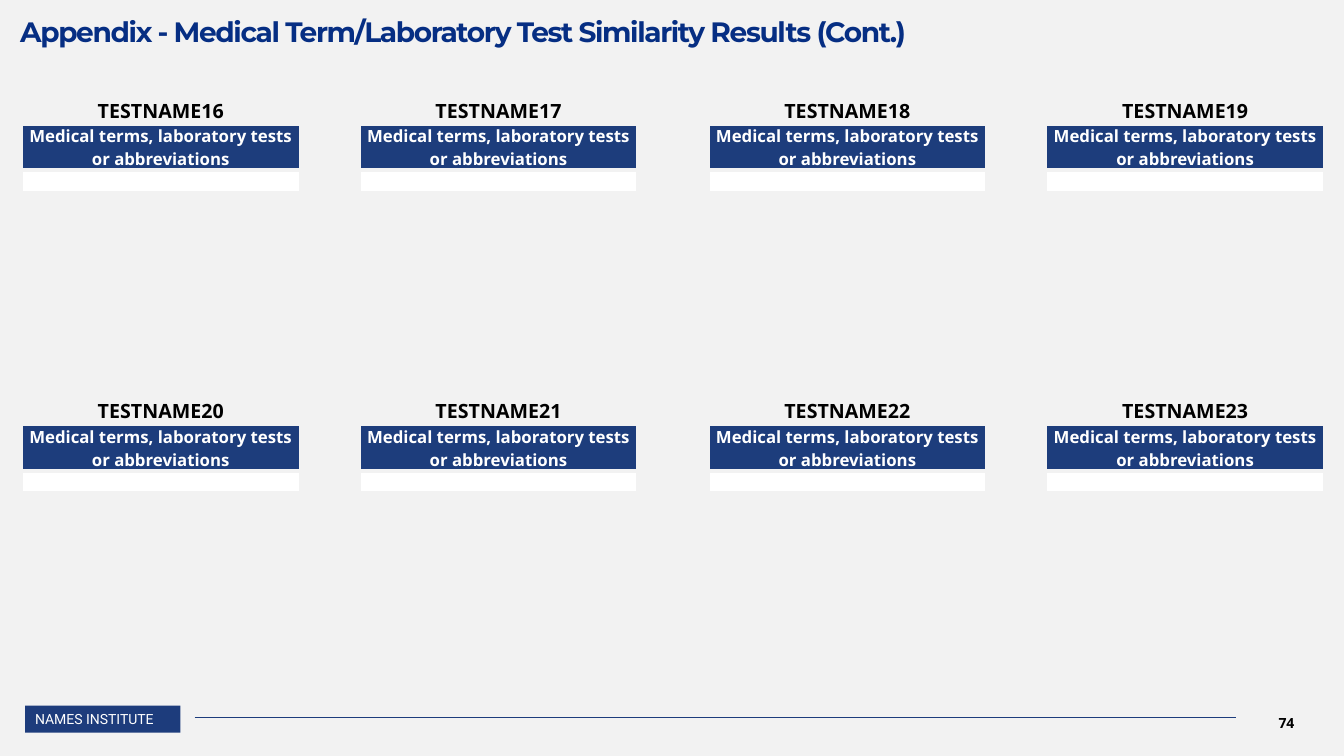
"""Build the appendix slide of similarity results: eight small tables in a grid."""
from lxml import etree
from pptx import Presentation
from pptx import util as u
from pptx.dml.color import RGBColor
from pptx.enum import shapes, text
from pptx.oxml.ns import qn

WIDTH, HEIGHT = 13.33, 7.5
BACKGROUND, NAVY, HEADER_BLUE, TITLE_BLUE = "F2F2F2", "1D3C7C", "1D3D7C", "062E83"
WHITE, BLACK = "FFFFFF", "000000"
GRID_LEFT, GRID_TOP = 0.21, 0.95
COLUMN_STEP, PAIR_STEP, ROW_STEP = 3.35, 6.81, 2.98
TABLE_WIDTH, ROW_HEIGHTS = 2.77, (0.28, 0.46, 0.22)
COLUMNS, FIRST_TEST, LAST_TEST = 4, 16, 23
CELL_MARGIN = 0.01
HEADER = "Medical terms, laboratory tests or abbreviations"


def color(value):
    """Turn a hex string into a colour."""
    return RGBColor.from_string(value)


def paint(target, value):
    """Give a shape, cell or background a solid fill."""
    target.fill.solid()
    target.fill.fore_color.rgb = color(value)


def write(frame, words, size=12, font="Open Sans", ink=BLACK, bold=False,
          align=text.PP_ALIGN.CENTER, line_spacing=None, tracking=None):
    """Write one formatted paragraph into a text frame."""
    paragraph = frame.paragraphs[0]
    paragraph.alignment = align
    paragraph.line_spacing = line_spacing
    run = paragraph.add_run()
    run.text = words
    run.font.size, run.font.name, run.font.bold = u.Pt(size), font, bold
    run.font.color.rgb = color(ink)
    if tracking is not None:
        run.font._element.set("spc", str(tracking))


def add_title(slide, words):
    """Place and format the title placeholder."""
    title = slide.shapes.title
    title.left, title.top = u.Inches(0.2), 0
    title.width, title.height = u.Inches(12.82), u.Inches(0.48)
    frame = title.text_frame
    frame.auto_size = text.MSO_AUTO_SIZE.NONE
    frame.vertical_anchor = text.MSO_ANCHOR.TOP
    frame.margin_left = frame.margin_right = frame.margin_bottom = 0
    frame.margin_top = u.Inches(0.21)
    write(frame, words, size=20, font="Montserrat", ink=TITLE_BLUE, bold=True,
          align=text.PP_ALIGN.LEFT, line_spacing=0.8, tracking=-100)


def add_borders(cell, value=BACKGROUND, points=3):
    """Draw all four borders of a table cell."""
    properties = cell._tc.get_or_add_tcPr()
    for side in ("lnL", "lnR", "lnT", "lnB"):
        line = etree.SubElement(properties, qn(f"a:{side}"), w=str(u.Pt(points)))
        fill = etree.SubElement(line, qn("a:solidFill"))
        etree.SubElement(fill, qn("a:srgbClr"), val=value)


def add_test_table(slide, name, column, row):
    """Add the table of one test name at its place in the grid."""
    pair, member = divmod(column, 2)
    left = GRID_LEFT + pair * PAIR_STEP + member * COLUMN_STEP
    top = GRID_TOP + row * ROW_STEP
    table = slide.shapes.add_table(
        len(ROW_HEIGHTS), 1, u.Inches(left), u.Inches(top),
        u.Inches(TABLE_WIDTH), u.Inches(sum(ROW_HEIGHTS))).table
    table.first_row = table.horz_banding = False
    for index, height in enumerate(ROW_HEIGHTS):
        table.rows[index].height = u.Inches(height)
        cell = table.cell(index, 0)
        cell.margin_left = cell.margin_right = cell.margin_top = u.Inches(CELL_MARGIN)
        cell.margin_bottom = 0
        cell.vertical_anchor = text.MSO_ANCHOR.MIDDLE
        add_borders(cell)
    name_cell, header_cell, result_cell = (table.cell(index, 0) for index in range(3))
    name_cell.fill.background()
    write(name_cell.text_frame, name, size=14, bold=True)
    paint(header_cell, HEADER_BLUE)
    write(header_cell.text_frame, HEADER, ink=WHITE, bold=True)
    paint(result_cell, WHITE)
    paragraph = result_cell.text_frame.paragraphs[0]
    etree.SubElement(paragraph._p, qn("a:endParaRPr"), sz="800")


def add_footer(slide, label, page):
    """Add the label, rule and page number at the foot of the slide."""
    box = slide.shapes.add_shape(shapes.MSO_SHAPE.RECTANGLE, u.Inches(0.25),
                                 u.Inches(7), u.Inches(1.54), u.Inches(0.27))
    box.shadow.inherit = False
    paint(box, NAVY)
    box.line.fill.background()
    box.text_frame.word_wrap = False
    write(box.text_frame, label, size=10, font="Roboto", ink=WHITE,
          align=text.PP_ALIGN.LEFT)

    rule = slide.shapes.add_connector(shapes.MSO_CONNECTOR.STRAIGHT, u.Inches(1.93),
                                      u.Inches(7.12), u.Inches(12.26), u.Inches(7.12))
    rule.line.color.rgb = color(NAVY)
    rule.line.width = u.Pt(0.5)
    etree.SubElement(rule._element.spPr, qn("a:effectLst"))

    number = slide.shapes.add_textbox(u.Inches(12.21), u.Inches(6.97),
                                      u.Inches(1.1), u.Inches(0.4))
    number.text_frame.word_wrap = True
    number.text_frame.vertical_anchor = text.MSO_ANCHOR.MIDDLE
    write(number.text_frame, page, size=10, bold=True)


def main():
    """Build and save the slide."""
    presentation = Presentation()
    presentation.slide_width = u.Inches(WIDTH)
    presentation.slide_height = u.Inches(HEIGHT)
    slide = presentation.slides.add_slide(presentation.slide_layouts.get_by_name("Title Only"))
    paint(slide.background, BACKGROUND)
    add_footer(slide, "NAMES INSTITUTE", "74")
    add_title(slide, "Appendix - Medical Term/Laboratory Test Similarity Results (Cont.)")
    for position, test in enumerate(range(FIRST_TEST, LAST_TEST + 1)):
        row, column = divmod(position, COLUMNS)
        add_test_table(slide, f"TESTNAME{test}", column, row)
    presentation.save("out.pptx")


if __name__ == "__main__":
    main()
